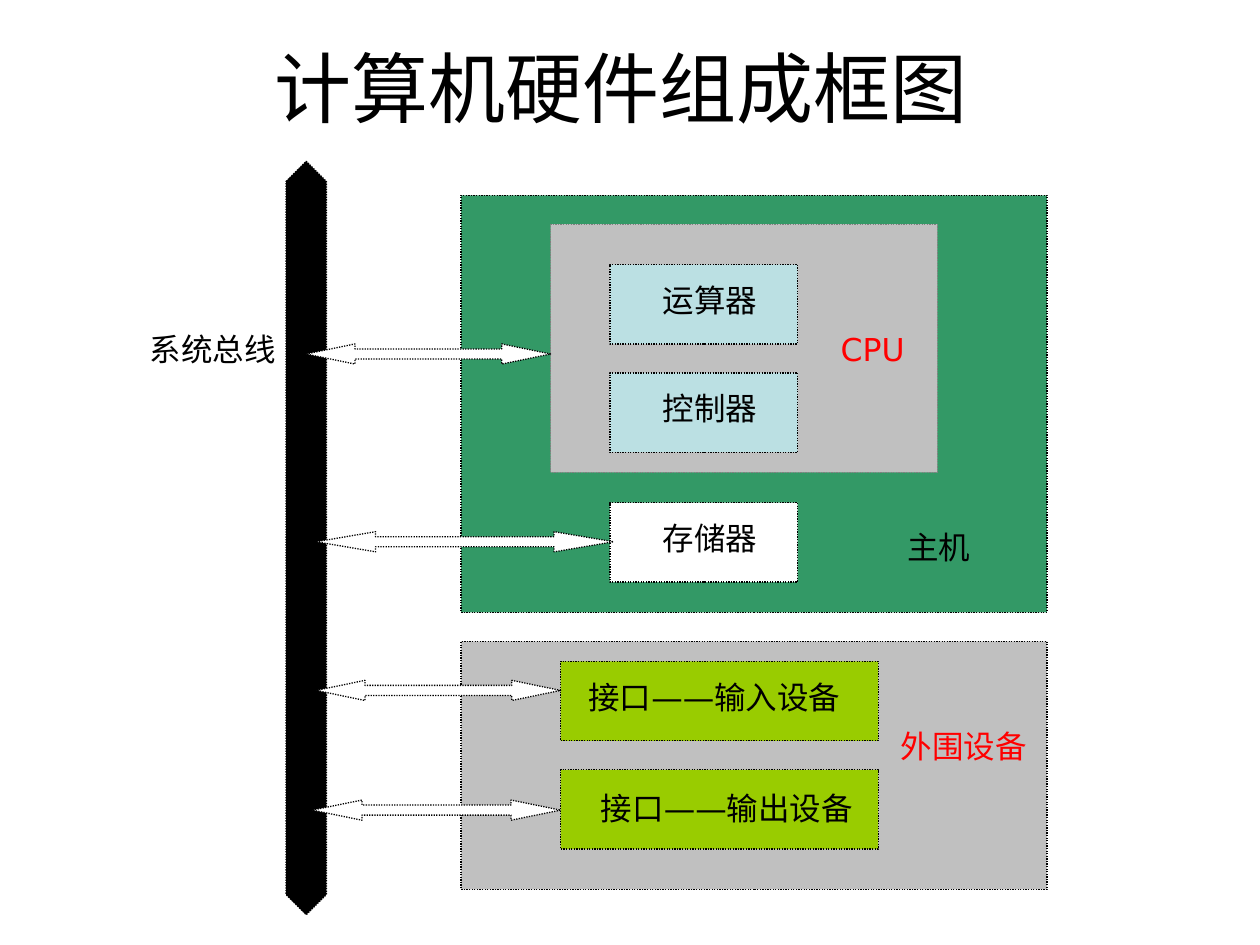
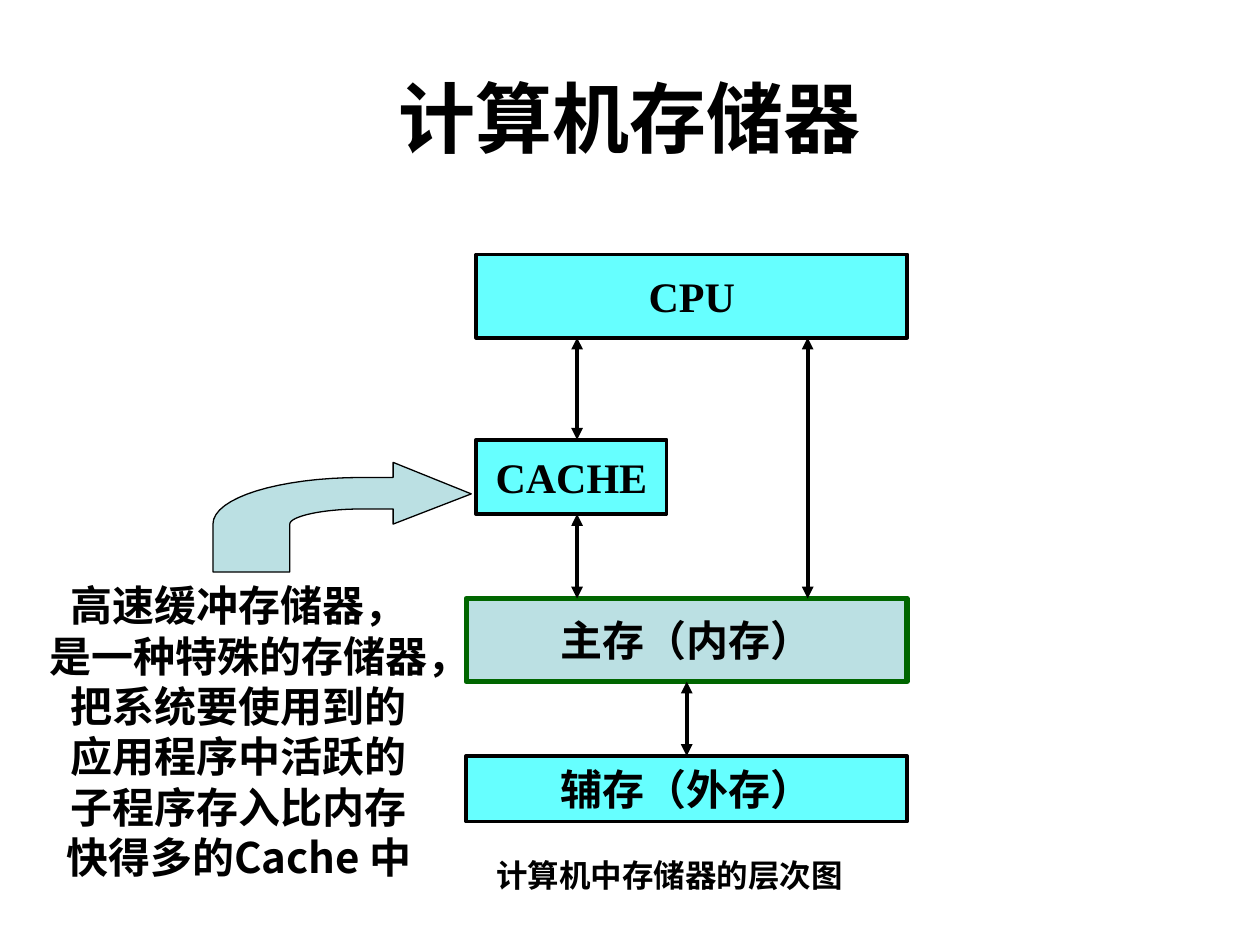
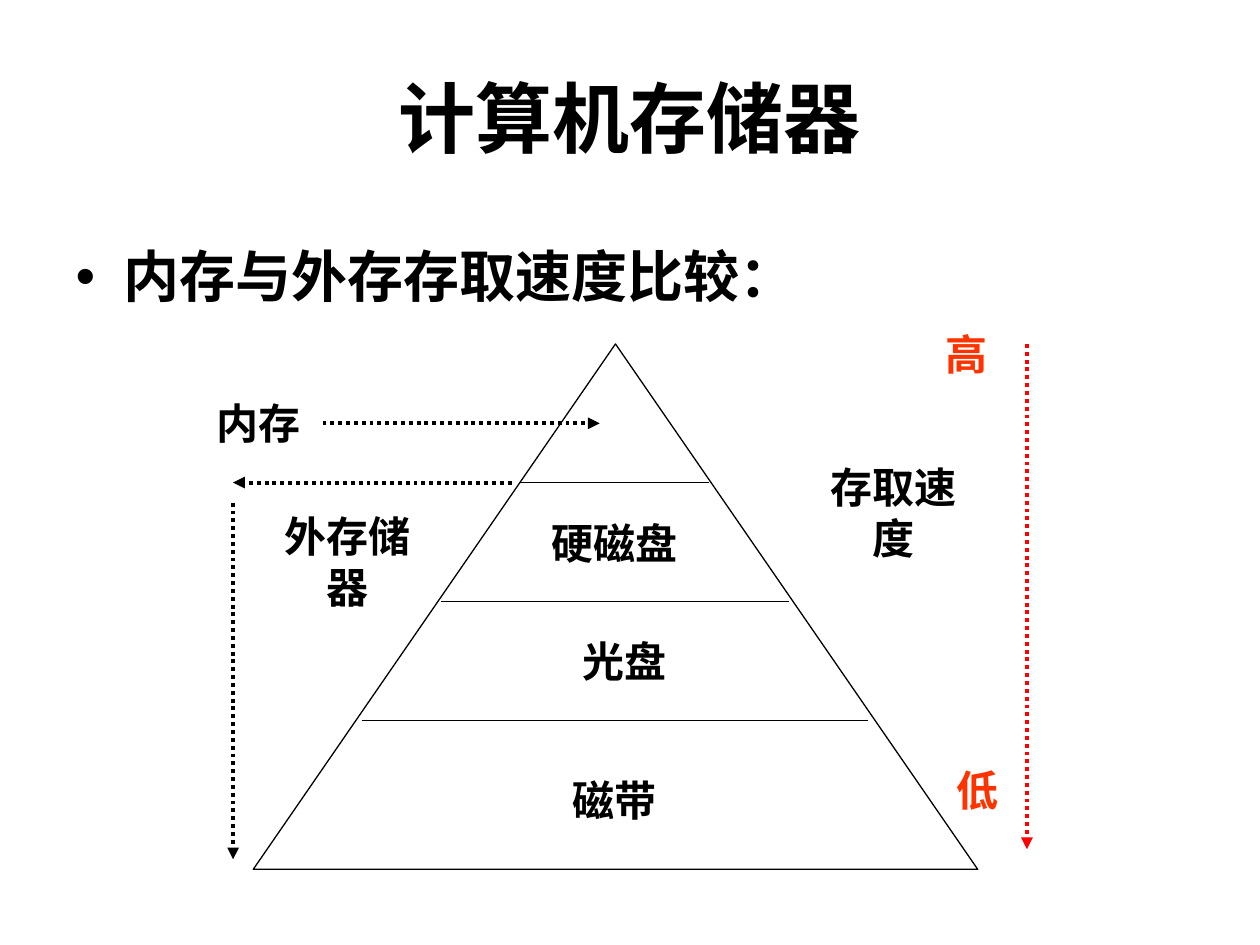
from dataclasses import dataclass
from typing import NamedTuple

from lxml.etree import SubElement
from pptx import Presentation
from pptx.dml.color import RGBColor
from pptx.enum.dml import MSO_LINE
from pptx.enum.lang import MSO_LANGUAGE_ID
from pptx.enum.shapes import MSO_CONNECTOR, MSO_SHAPE
from pptx.enum.text import MSO_ANCHOR, PP_ALIGN
from pptx.oxml.ns import qn
from pptx.util import Inches, Pt


@dataclass(frozen=True)
class Theme:
    black: str = "000000"
    white: str = "FFFFFF"
    grey: str = "C0C0C0"
    dark_grey: str = "808080"
    green: str = "339966"
    dark_green: str = "006600"
    lime: str = "99CC00"
    pale_blue: str = "BBE0E3"
    cyan: str = "66FFFF"
    red: str = "FF0000"
    orange: str = "FF3300"
    sans: str = "Arial"
    label_font: str = "DejaVu Sans"
    note_font: str = "Noto Sans CJK SC"
    serif: str = "Times New Roman"
    east_asian: str = "DejaVu Sans"
    title_size: int = 44
    body_size: int = 32
    large_size: int = 24
    small_size: int = 18
    thin: float = 0.75
    thick: float = 2.25
    frame: float = 3


THEME = Theme()


class Area(NamedTuple):
    left: float
    top: float
    width: float
    height: float

    def lengths(self) -> list:
        return [Inches(value) for value in self]


class TextStyle(NamedTuple):
    font: str
    size: int
    bold: bool = True
    color: str = THEME.black
    anchor: MSO_ANCHOR = MSO_ANCHOR.MIDDLE


SMALL = TextStyle(THEME.label_font, THEME.small_size, False, anchor=MSO_ANCHOR.TOP)
SMALL_RED = SMALL._replace(color=THEME.red)
LARGE = TextStyle(THEME.sans, THEME.large_size)
LARGE_ORANGE = LARGE._replace(color=THEME.orange)
NOTE = LARGE._replace(font=THEME.note_font)
LEVEL = LARGE._replace(font=THEME.serif)
CAPTION = LARGE._replace(size=THEME.small_size)
TITLE = TextStyle(THEME.sans, THEME.title_size)
BODY = TextStyle(THEME.sans, THEME.body_size, anchor=MSO_ANCHOR.TOP)


class Stroke(NamedTuple):
    color: str = THEME.black
    width: float = THEME.thin
    dotted: bool = False


THIN = Stroke()
THICK = Stroke(width=THEME.thick)
DOTTED = Stroke(dotted=True)
DOTTED_THICK = Stroke(width=THEME.thick, dotted=True)


@dataclass(frozen=True)
class Label:
    area: Area
    text: str
    style: TextStyle = SMALL
    lead: str = ""


@dataclass(frozen=True)
class Block:
    area: Area
    fill: str
    stroke: Stroke = DOTTED
    label: Label | None = None


@dataclass(frozen=True)
class Line:
    start: tuple[float, float]
    end: tuple[float, float]
    stroke: Stroke = THICK
    arrow_start: bool = False
    arrow_end: bool = True


def style_paragraph(paragraph, style: TextStyle) -> None:
    font = paragraph.font
    font.name = style.font
    font.size = Pt(style.size)
    font.bold = style.bold
    font.color.rgb = RGBColor.from_string(style.color)
    font.language_id = MSO_LANGUAGE_ID.SIMPLIFIED_CHINESE
    properties = paragraph._p.pPr.find(qn("a:defRPr"))
    SubElement(properties, qn("a:ea"), typeface=THEME.east_asian)


def write_text(shape, text: str, style: TextStyle, lead: str = "") -> None:
    """Write centred, unwrapped lines; a lead goes before them in the sans font."""
    frame = shape.text_frame
    frame.word_wrap = False
    frame.vertical_anchor = style.anchor
    for index, line in enumerate(text.split("\n")):
        paragraph = frame.add_paragraph() if index else frame.paragraphs[0]
        paragraph.alignment = PP_ALIGN.CENTER
        if lead:
            run = paragraph.add_run()
            run.text = lead
            run.font.name = THEME.sans
        paragraph.add_run().text = line
        style_paragraph(paragraph, style)


def apply_stroke(line, stroke: Stroke) -> None:
    line.color.rgb = RGBColor.from_string(stroke.color)
    line.width = Pt(stroke.width)
    if stroke.dotted:
        line.dash_style = MSO_LINE.ROUND_DOT


def paint(shape, fill: str | None, stroke: Stroke) -> None:
    shape.shadow.inherit = False
    if fill:
        shape.fill.solid()
        shape.fill.fore_color.rgb = RGBColor.from_string(fill)
    else:
        shape.fill.background()
    apply_stroke(shape.line, stroke)


def add_preset(slide, preset: MSO_SHAPE, area: Area, fill: str | None, stroke: Stroke):
    shape = slide.shapes.add_shape(preset, *area.lengths())
    paint(shape, fill, stroke)
    return shape


def add_label(slide, label: Label) -> None:
    box = slide.shapes.add_textbox(*label.area.lengths())
    write_text(box, label.text, label.style, label.lead)


def add_block(slide, block: Block) -> None:
    add_preset(slide, MSO_SHAPE.RECTANGLE, block.area, block.fill, block.stroke)
    if block.label:
        add_label(slide, block.label)


def add_arrow(slide, preset: MSO_SHAPE, area: Area, fill: str, head: float) -> None:
    """Draw a double block arrow whose heads have the given length in inches."""
    arrow = add_preset(slide, preset, area, fill, DOTTED)
    arrow.adjustments[0] = 0.5
    arrow.adjustments[1] = head / min(area.width, area.height)


def add_line(slide, line: Line) -> None:
    ends = [Inches(value) for value in (*line.start, *line.end)]
    connector = slide.shapes.add_connector(MSO_CONNECTOR.STRAIGHT, *ends)
    apply_stroke(connector.line, line.stroke)
    outline = connector.line._get_or_add_ln()
    if line.arrow_start:
        SubElement(outline, qn("a:headEnd"), type="triangle")
    if line.arrow_end:
        SubElement(outline, qn("a:tailEnd"), type="triangle")
    SubElement(connector._element.spPr, qn("a:effectLst"))


def add_titled_slide(presentation, text: str, area: Area, style: TextStyle, layout: int = 5):
    slide = presentation.slides.add_slide(presentation.slide_layouts[layout])
    title = slide.shapes.title
    title.left, title.top, title.width, title.height = area.lengths()
    write_text(title, text, style)
    title.text_frame.word_wrap = True
    return slide


def curve(*controls: tuple[float, float], steps: int = 16) -> list[tuple[float, float]]:
    """Return points along a cubic Bezier curve, without its start."""
    points = []
    for step in range(1, steps + 1):
        t = step / steps
        weights = ((1 - t) ** 3, 3 * t * (1 - t) ** 2, 3 * t * t * (1 - t), t**3)
        points.append(tuple(
            sum(weight * control[axis] for weight, control in zip(weights, controls))
            for axis in (0, 1)
        ))
    return points


def build_hardware_slide(presentation) -> None:
    slide = add_titled_slide(
        presentation, "计算机硬件组成框图", Area(0.43, 0, 9, 1.38), TITLE._replace(bold=False)
    )
    blocks = [
        Block(Area(3.66, 1.55, 4.65, 3.31), THEME.green,
              label=Label(Area(7.1, 4.14, 0.7, 0.4), "主机")),
        Block(Area(3.66, 5.09, 4.65, 1.97), THEME.grey,
              label=Label(Area(7.05, 5.72, 1.2, 0.4), "外围设备", SMALL_RED)),
        Block(Area(4.37, 1.78, 3.07, 1.97), THEME.grey, Stroke(THEME.dark_grey, dotted=True),
              Label(Area(6.57, 2.57, 0.71, 0.4), "CPU", SMALL_RED)),
    ]
    units = [
        (2.1, THEME.pale_blue, "运算器"),
        (2.96, THEME.pale_blue, "控制器"),
        (3.99, THEME.white, "存储器"),
    ]
    for top, fill, name in units:
        label = Label(Area(5.16, top + 0.08, 0.95, 0.4), name)
        blocks.append(Block(Area(4.84, top, 1.49, 0.63), fill, label=label))
    devices = [
        (5.25, Label(Area(4.53, 5.33, 2.28, 0.4), "接口——输入设备")),
        (6.11, Label(Area(4.67, 6.21, 2.2, 0.4), "输出设备", lead="接口——")),
    ]
    for top, label in devices:
        blocks.append(Block(Area(4.45, top, 2.52, 0.63), THEME.lime, label=label))
    for block in blocks:
        add_block(slide, block)

    add_arrow(slide, MSO_SHAPE.UP_DOWN_ARROW, Area(2.27, 1.28, 0.32, 5.98), THEME.black, 0.65)
    links = [(2.43, 2.73, 1.94), (2.51, 4.22, 2.36), (2.51, 5.4, 1.94), (2.48, 6.35, 1.97)]
    for left, top, width in links:
        area = Area(left, top, width, 0.16)
        add_arrow(slide, MSO_SHAPE.LEFT_RIGHT_ARROW, area, THEME.white, 0.2 * width)
    add_label(slide, Label(Area(1.09, 2.57, 1.2, 0.4), "系统总线"))


def add_cache_pointer(slide) -> None:
    points = [
        (1.69, 4.16),
        *curve((1.69, 4.16), (1.69, 3.95), (2.22, 3.79), (2.87, 3.79)),
        (3.12, 3.79), (3.12, 3.67), (3.74, 3.92), (3.12, 4.16), (3.12, 4.04), (2.87, 4.04),
        *curve((2.87, 4.04), (2.55, 4.04), (2.3, 4.1), (2.3, 4.16)),
        (2.3, 4.54),
    ]
    builder = slide.shapes.build_freeform(Inches(1.69), Inches(4.54))
    builder.add_line_segments([(Inches(x), Inches(y)) for x, y in points], close=True)
    paint(builder.convert_to_shape(), THEME.pale_blue, THIN)


def build_hierarchy_slide(presentation) -> None:
    slide = add_titled_slide(presentation, "计算机存储器", Area(0.5, 0.3, 9, 1.25), TITLE)
    levels = [
        ("CPU", Area(3.78, 2.02, 3.42, 0.66), THEME.cyan, THICK),
        ("CACHE", Area(3.78, 3.49, 1.51, 0.59), THEME.cyan, THICK),
        ("主存（内存）", Area(3.7, 4.75, 3.5, 0.66), THEME.pale_blue,
         Stroke(THEME.dark_green, THEME.frame)),
        ("辅存（外存）", Area(3.7, 6, 3.5, 0.52), THEME.cyan, THICK),
    ]
    for name, area, fill, stroke in levels:
        write_text(add_preset(slide, MSO_SHAPE.RECTANGLE, area, fill, stroke), name, LEVEL)
    transfers = [(4.58, 2.68, 3.49), (4.58, 4.08, 4.75), (5.45, 5.41, 6), (6.41, 2.68, 4.75)]
    for x, top, bottom in transfers:
        add_line(slide, Line((x, top), (x, bottom), arrow_start=True))
    add_label(slide, Label(Area(3.58, 6.59, 3.47, 0.71), "计算机中存储器的层次图", CAPTION))
    explanation = (
        "高速缓冲存储器，\n是一种特殊的存储器，\n把系统要使用到的\n"
        "应用程序中活跃的\n子程序存入比内存\n快得多的Cache 中"
    )
    add_label(slide, Label(Area(0.2, 4.46, 3.39, 2.68), explanation, NOTE))
    add_cache_pointer(slide)


def build_speed_slide(presentation) -> None:
    slide = add_titled_slide(
        presentation, "计算机存储器", Area(0.5, 0.3, 9, 1.25), TITLE, layout=1
    )
    body = slide.placeholders[1]
    body.left, body.top, body.width, body.height = Area(0.5, 1.87, 9, 4.32).lengths()
    paragraph = body.text_frame.paragraphs[0]
    paragraph.text = "内存与外存存取速度比较："
    paragraph.space_before = Pt(0)
    properties = paragraph._p.get_or_add_pPr()
    properties.set("marL", str(Inches(0.38)))
    properties.set("indent", str(Inches(-0.38)))
    style_paragraph(paragraph, BODY)

    add_preset(slide, MSO_SHAPE.ISOSCELES_TRIANGLE, Area(2.01, 2.73, 5.75, 4.17), None, THIN)
    for index in range(3):
        spread, y = 0.63 * index, 3.83 + 0.945 * index
        add_line(slide, Line((4.13 - spread, y), (5.63 + spread, y), THIN, arrow_end=False))
    pointers = [
        Line((2.56, 3.36), (4.76, 3.36), DOTTED_THICK),
        Line((4.06, 3.83), (1.85, 3.83), DOTTED_THICK),
        Line((1.85, 3.99), (1.85, 6.82), DOTTED_THICK),
        Line((8.15, 2.73), (8.15, 6.74), DOTTED_THICK._replace(color=THEME.red)),
    ]
    for pointer in pointers:
        add_line(slide, pointer)
    names = [
        ("内存", 1.3, 2.96), ("外存储器", 2.01, 4.06), ("硬磁盘", 4.13, 3.91),
        ("光盘", 4.21, 4.85), ("磁带", 4.13, 5.95), ("存取速度", 6.34, 3.67),
    ]
    for name, left, top in names:
        add_label(slide, Label(Area(left, top, 1.5, 0.79), name, LARGE))
    for name, left, top in [("高", 7.36, 2.49), ("低", 7.44, 5.95)]:
        add_label(slide, Label(Area(left, top, 0.63, 0.63), name, LARGE_ORANGE))


def main() -> None:
    presentation = Presentation()
    presentation.slide_width, presentation.slide_height = Inches(10), Inches(7.5)
    build_hardware_slide(presentation)
    build_hierarchy_slide(presentation)
    build_speed_slide(presentation)
    presentation.save("out.pptx")


if __name__ == "__main__":
    main()
